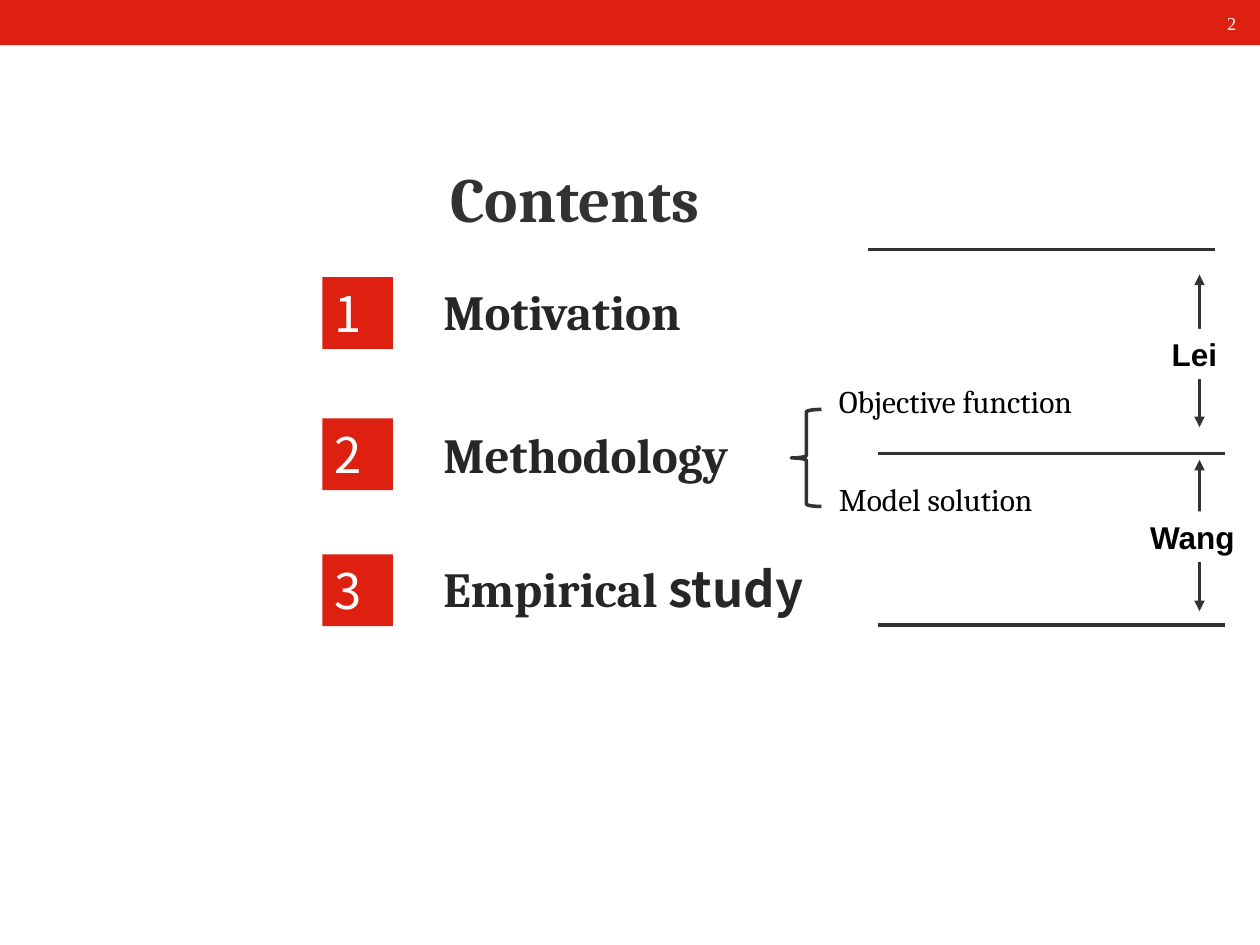
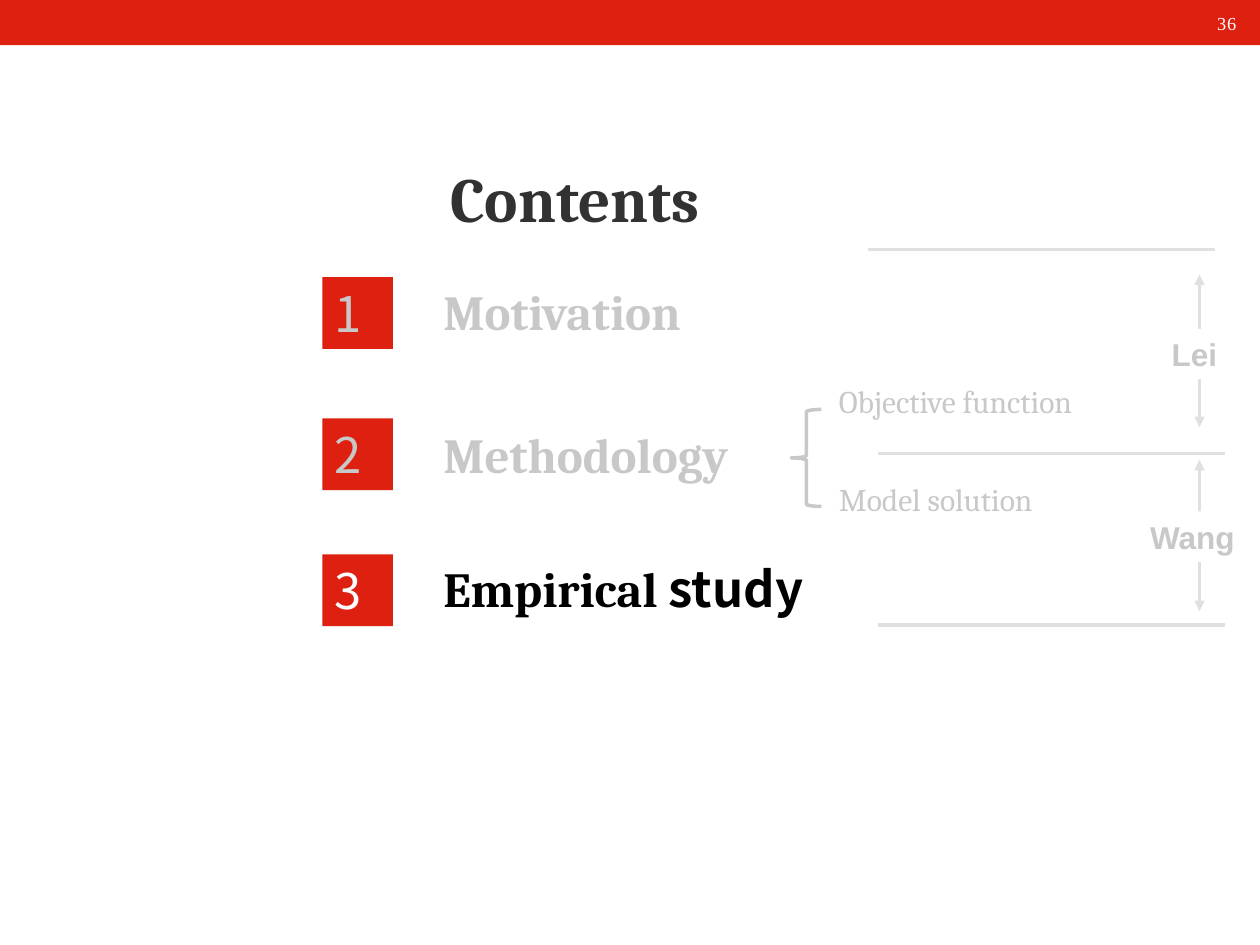
from lxml import etree
from pptx import Presentation
from pptx import util as u
from pptx.dml.color import RGBColor
from pptx.enum import shapes, text
from pptx.oxml import ns

RED = RGBColor(0xDE, 0x20, 0x10)
WHITE = RGBColor(0xFF, 0xFF, 0xFF)
BLACK = RGBColor(0, 0, 0)
CHARCOAL = RGBColor(0x32, 0x32, 0x32)
HEADING = RGBColor(0x26, 0x26, 0x26)
FADED = RGBColor(0xC8, 0xC8, 0xC8)
FADED_RULE = RGBColor(0xE0, 0xE0, 0xE0)

SERIF, SANS = "Cambria", "Noto Sans CJK SC"
TITLE = {"name": SERIF, "size": u.Pt(36), "bold": True}
PAGE_NUMBER = {"name": "Times New Roman", "size": u.Pt(10.5)}
CHAPTER = {"name": SERIF, "size": u.Pt(28), "bold": True}
CHAPTER_SANS = {**CHAPTER, "name": SANS}
NUMBER = {"name": SANS, "size": u.Pt(28)}
SUBTOPIC = {"name": SERIF, "size": u.Pt(18)}
SPEAKER = {"name": "Arial", "size": u.Pt(18), "bold": True}

CHAPTERS = [
    (2.2, 2.18, [("Motivation", CHAPTER)]),
    (3.32, 3.32, [("Methodology", CHAPTER)]),
    (4.4, 4.38, [("Empirical", CHAPTER), (" study", CHAPTER_SANS)]),
]
SUBTOPICS = [("Objective function", 2.98), ("Model solution", 3.76)]
DIVIDERS = [(6.97, 3.6), (6.89, 1.98), (6.97, 4.96)]
SPEAKER_SPANS = [(2.18, 3.39), (3.65, 4.85)]
SPEAKERS = [("Lei", (9.2, 2.61, 0.71, 0.4)), ("Wang", (9.03, 4.06, 0.9, 0.4))]

PLAIN = {"number": WHITE, "chapter": HEADING, "detail": BLACK,
         "brace": CHARCOAL, "rule": CHARCOAL}
DIMMED = {"number": FADED, "chapter": FADED, "detail": FADED,
          "brace": FADED, "rule": FADED_RULE}


def add_block(slide, place, fill):
    block = slide.shapes.add_shape(shapes.MSO_SHAPE.RECTANGLE, *map(u.Inches, place))
    block.shadow.inherit = False
    block.fill.solid()
    block.fill.fore_color.rgb = fill
    block.line.fill.background()
    return block


def write(holder, runs, color, align=text.PP_ALIGN.LEFT):
    frame = holder.text_frame
    frame.word_wrap = True
    frame.vertical_anchor = text.MSO_ANCHOR.MIDDLE
    paragraph = frame.paragraphs[0]
    paragraph.alignment = align
    for words, style in runs:
        run = paragraph.add_run()
        run.text = words
        for attribute, value in style.items():
            setattr(run.font, attribute, value)
        run.font.color.rgb = color
    return paragraph


def add_label(slide, place, runs, color, align=text.PP_ALIGN.LEFT):
    label = slide.shapes.add_textbox(*map(u.Inches, place))
    return write(label, runs, color, align)


def add_rule(slide, start, end, color, arrows=False):
    rule = slide.shapes.add_connector(
        shapes.MSO_CONNECTOR.STRAIGHT, *map(u.Inches, start + end))
    rule.line.color.rgb = color
    rule.line.width = u.Pt(2)
    if arrows:
        outline = rule.line._get_or_add_ln()
        for tip in ("a:headEnd", "a:tailEnd"):
            etree.SubElement(outline, ns.qn(tip), type="triangle")
    etree.SubElement(rule._element.spPr, ns.qn("a:effectLst"))


def add_brace(slide, place, color):
    brace = slide.shapes.add_shape(shapes.MSO_SHAPE.LEFT_BRACE, *map(u.Inches, place))
    brace.shadow.inherit = False
    brace.fill.background()
    brace.line.color.rgb = color
    brace.line.width = u.Pt(2)


def add_frame(slide, page):
    add_block(slide, (0, 0, 10, 0.36), RED)
    number = add_label(slide, (9.19, 0.04, 0.72, 0.28), [(page, PAGE_NUMBER)],
                       WHITE, text.PP_ALIGN.RIGHT)
    number.runs[0]._r.get_or_add_rPr().set("spc", "50")
    add_label(slide, (0, 1.25, 9.13, 0.64), [("Contents", TITLE)],
              CHARCOAL, text.PP_ALIGN.CENTER)


def add_chapters(slide, palettes):
    for index, (chapter, colors) in enumerate(zip(CHAPTERS, palettes), 1):
        block_top, heading_top, runs = chapter
        add_label(slide, (3.42, heading_top, 3.76, 0.57), runs, colors["chapter"])
        block = add_block(slide, (2.56, block_top, 0.56, 0.57), RED)
        write(block, [(str(index), NUMBER)], colors["number"])


def add_subtopics(slide, colors):
    add_brace(slide, (6.28, 3.25, 0.24, 0.77), colors["brace"])
    for name, top in SUBTOPICS:
        add_label(slide, (6.56, top, 2.7, 0.4), [(name, SUBTOPIC)], colors["detail"])


def add_speakers(slide, colors):
    for left, y in DIVIDERS:
        add_rule(slide, (left, y), (left + 2.75, y), colors["rule"])
    for top, bottom in SPEAKER_SPANS:
        add_rule(slide, (9.52, top), (9.52, bottom), colors["rule"], arrows=True)
    for name, place in SPEAKERS:
        write(add_block(slide, place, WHITE), [(name, SPEAKER)], colors["detail"])


def add_contents(deck, page, chapter_palettes, colors):
    slide = deck.slides.add_slide(deck.slide_layouts[6])
    add_frame(slide, page)
    add_chapters(slide, chapter_palettes)
    add_subtopics(slide, colors)
    add_speakers(slide, colors)


def main():
    deck = Presentation()
    deck.slide_width, deck.slide_height = u.Inches(10), u.Inches(7.5)
    current = {**PLAIN, "chapter": BLACK}
    add_contents(deck, "2", [PLAIN] * 3, PLAIN)
    add_contents(deck, "36", [DIMMED, DIMMED, current], DIMMED)
    deck.save("out.pptx")


if __name__ == "__main__":
    main()
